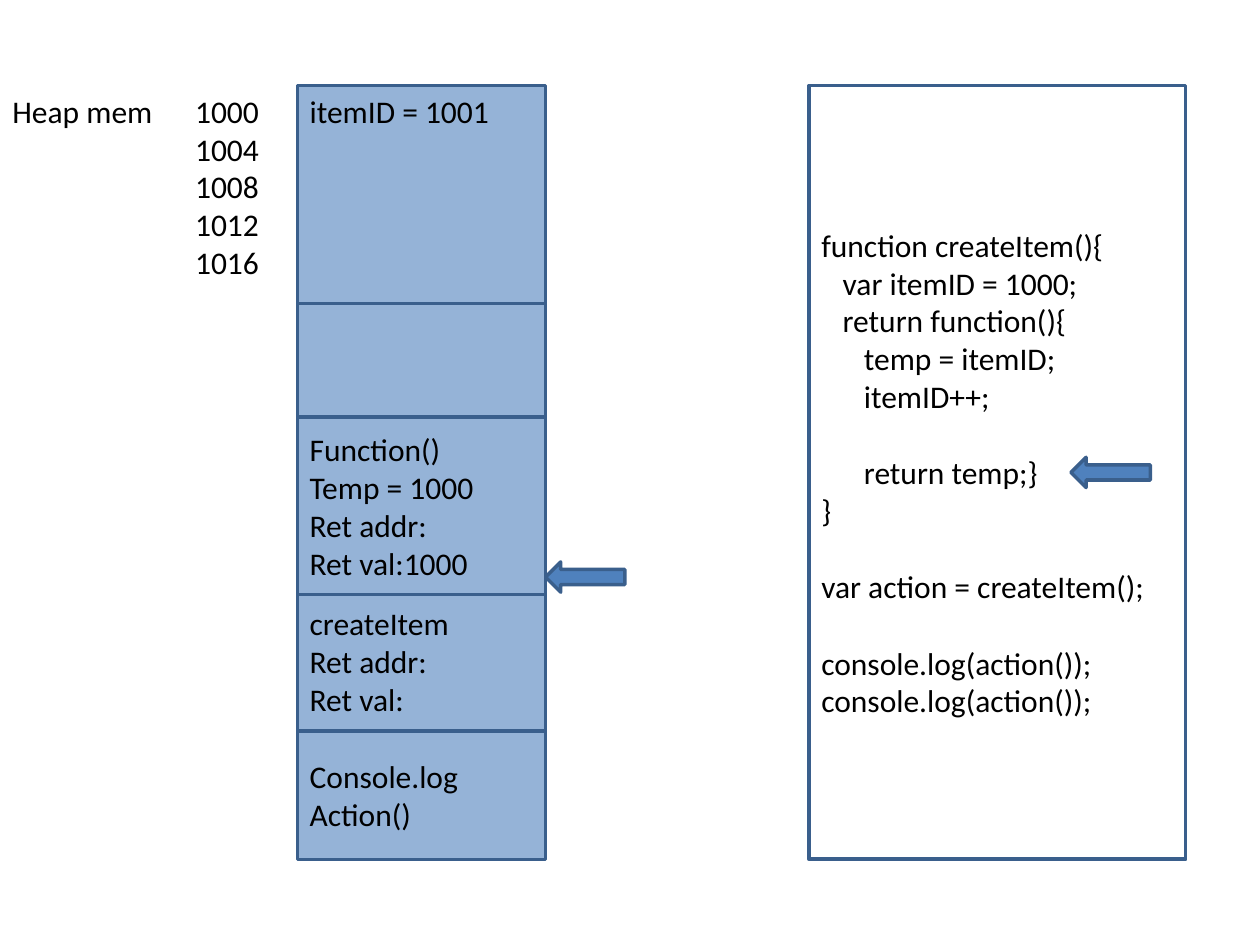
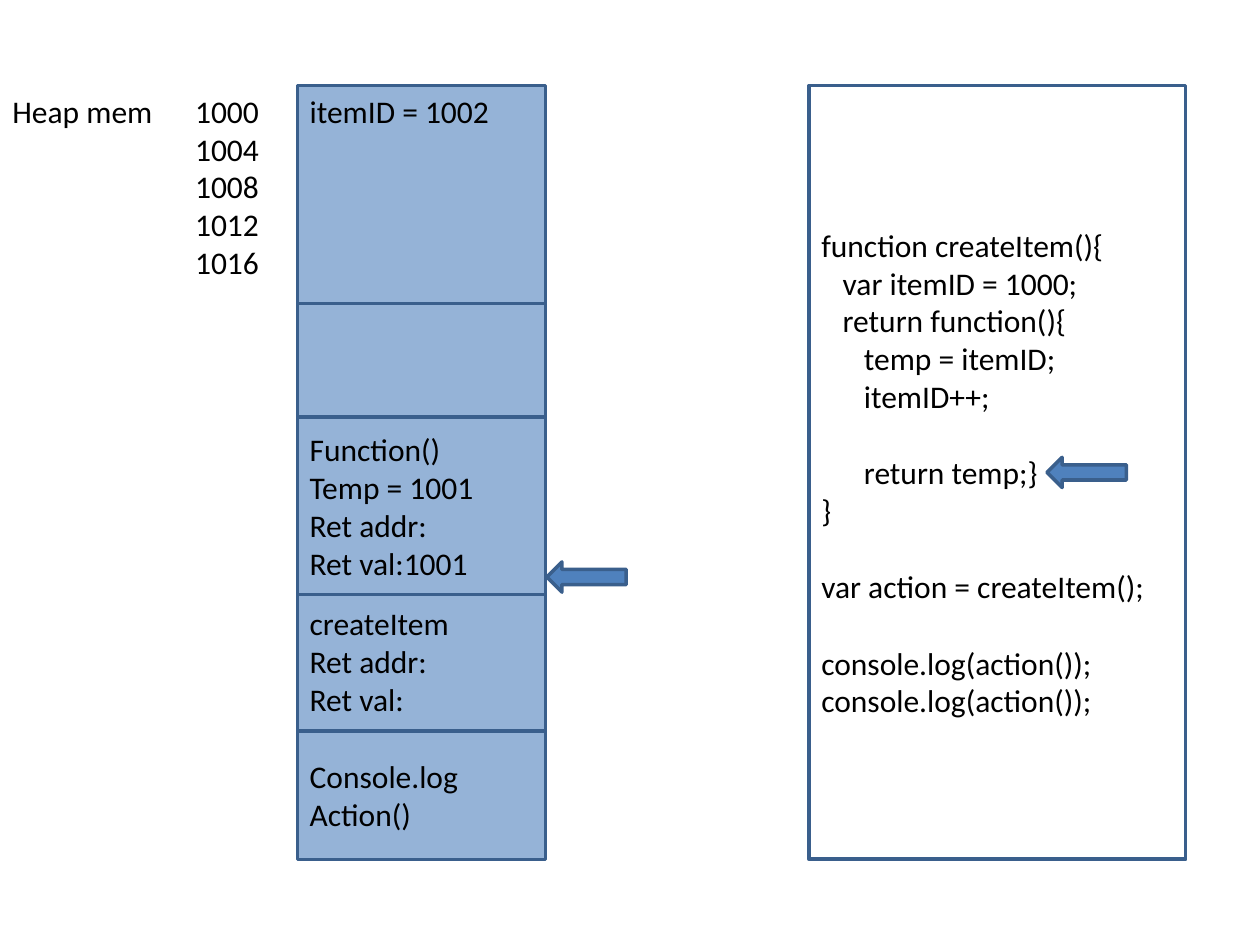
from dataclasses import dataclass
from typing import Optional

from lxml import etree
from pptx import Presentation
from pptx import util as u
from pptx.dml.color import RGBColor
from pptx.enum import shapes, text
from pptx.oxml import ns

COLOURS = {"paper": "FFFFFF", "memory": "95B3D7", "arrow": "4F81BD",
           "outline": "3A5F8C", "ink": "000000"}
FONT, SIZE = "Calibri", u.Pt(18)
LINE_PITCH = u.Pt(22)

# The slide is a grid of 100 columns by 75 rows of square cells
COLUMNS, ROWS = 100, 75
WIDTH = u.Inches(10)
CELL = WIDTH // COLUMNS
TOP, STACK_LEFT, STACK_WIDTH = 6.8, 23.6, 19.7
HEAP_ROWS, TOTAL_ROWS = 17.3, 61.4
ADDRESS_TAB = 14.5

CODE = """function createItem(){
   var itemID = 1000;
   return function(){
      temp = itemID;
      itemID++;

      return temp;}
}

var action = createItem();

console.log(action());
console.log(action());"""


@dataclass
class Area:
    left: float
    top: float
    width: float
    height: float


@dataclass
class Frame:
    """One block of the memory stack; overlap reaches into the block below."""
    rows: float
    content: str = ""
    anchor: text.MSO_ANCHOR = text.MSO_ANCHOR.MIDDLE
    overlap: float = 0


@dataclass
class Step:
    """State of memory after one call of the closure."""
    returned: int
    code_arrow: float
    stack_arrow: float


STEPS = [Step(1000, 85, 43.3), Step(1001, 83.1, 43.4)]


def add_figure(page, kind, area: Area, fill: str, line: str = "outline"):
    lengths = (area.left, area.top, area.width, area.height)
    figure = page.shapes.add_shape(kind, *(round(n * CELL) for n in lengths))
    figure.shadow.inherit = False
    figure.fill.solid()
    figure.fill.fore_color.rgb = RGBColor.from_string(COLOURS[fill])
    figure.line.color.rgb = RGBColor.from_string(COLOURS[line])
    figure.line.width = u.Pt(2)
    return figure


def write(box, content: str, anchor: text.MSO_ANCHOR, tab: Optional[float] = None) -> None:
    """Write one paragraph a line; an empty line becomes space before the next."""
    frame = box.text_frame
    frame.word_wrap = True
    frame.vertical_anchor = anchor
    para, gap = frame.paragraphs[0], 0
    for number, line in enumerate(content.split("\n")):
        if not line:
            gap += LINE_PITCH
            continue
        if number:
            para = frame.add_paragraph()
        para.text = line
        para.alignment = text.PP_ALIGN.LEFT
        if gap:
            para.space_before, gap = u.Emu(gap), 0
        if tab is not None:
            stops = etree.SubElement(para._p.get_or_add_pPr(), ns.qn("a:tabLst"))
            etree.SubElement(stops, ns.qn("a:tab"), pos=str(round(tab * CELL)), algn="l")
        para.font.name, para.font.size = FONT, SIZE
        para.font.color.rgb = RGBColor.from_string(COLOURS["ink"])


def add_box(page, area: Area, fill: str, content: str, anchor: text.MSO_ANCHOR,
            line: str = "outline", tab: Optional[float] = None) -> None:
    box = add_figure(page, shapes.MSO_SHAPE.RECTANGLE, area, fill, line)
    if content:
        write(box, content, anchor, tab)


def add_arrow(page, left: float, top: float) -> None:
    add_figure(page, shapes.MSO_SHAPE.LEFT_ARROW, Area(left, top, 6.3, 2.4), "arrow")


def add_stack(page, frames: list[Frame]) -> None:
    # Built from the bottom up, so that an upper block covers the one below
    bottom = TOP + TOTAL_ROWS
    for frame in reversed(frames):
        bottom -= frame.rows
        area = Area(STACK_LEFT, bottom, STACK_WIDTH, frame.rows + frame.overlap)
        add_box(page, area, "memory", frame.content, frame.anchor)


def add_step(deck, step: Step) -> None:
    page = deck.slides.add_slide(deck.slide_layouts[6])

    # Program listing
    add_box(page, Area(64.2, TOP, 29.9, TOTAL_ROWS), "paper", CODE, text.MSO_ANCHOR.MIDDLE)

    # Heap addresses
    addresses = "Heap mem" + "\n".join(f"\t{n}" for n in range(1000, 1017, 4))
    add_box(page, Area(0, TOP, 23.2, HEAP_ROWS), "paper", addresses,
            text.MSO_ANCHOR.TOP, "paper", ADDRESS_TAB)

    # Heap, free memory and call frames
    add_stack(page, [
        Frame(HEAP_ROWS, f"itemID = {step.returned + 1}", text.MSO_ANCHOR.TOP),
        Frame(9),
        Frame(13.8, f"Function()\nTemp = {step.returned}\nRet addr:\nRet val:{step.returned}",
              overlap=0.3),
        Frame(11.1, "createItem\nRet addr:\nRet val:"),
        Frame(10.2, "Console.log\nAction()"),
    ])

    # Current line and current return value
    add_arrow(page, step.code_arrow, 36.3)
    add_arrow(page, step.stack_arrow, 44.6)


def main() -> None:
    deck = Presentation()
    deck.slide_width, deck.slide_height = WIDTH, CELL * ROWS
    for step in STEPS:
        add_step(deck, step)
    deck.save("out.pptx")


if __name__ == "__main__":
    main()
